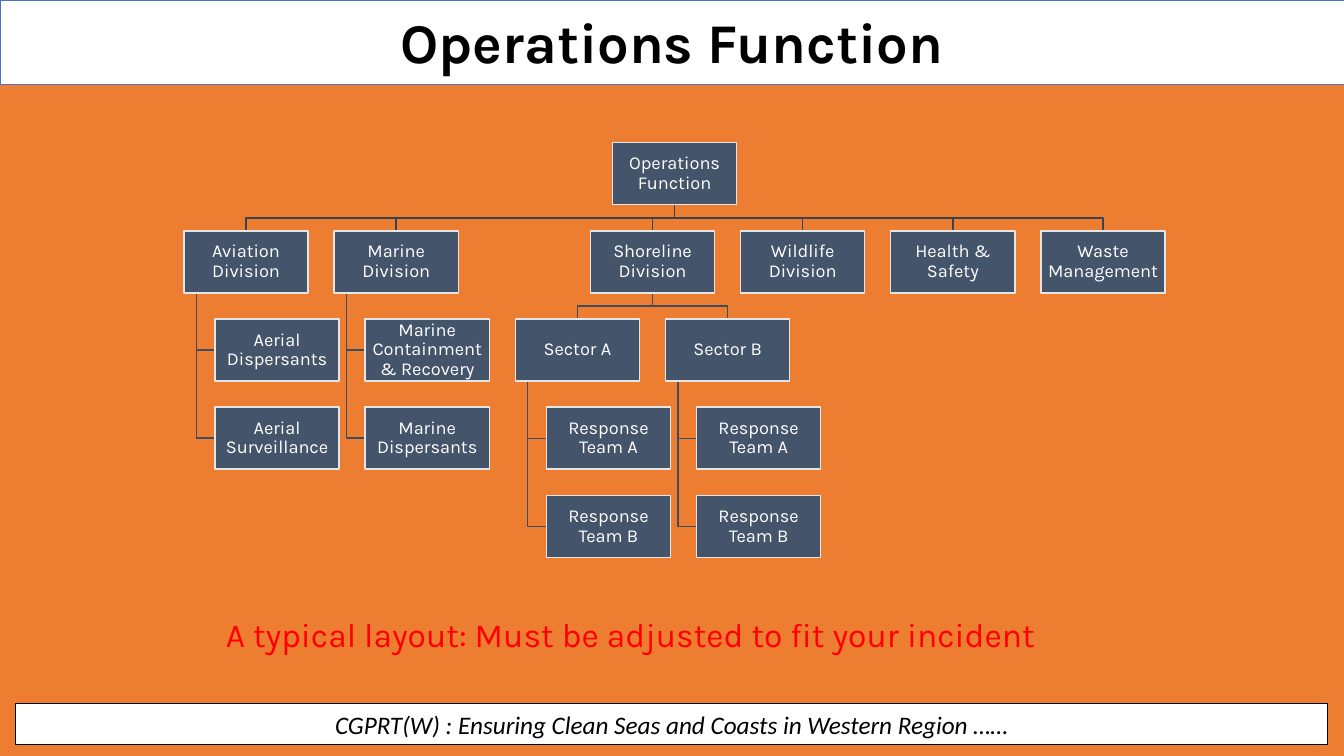
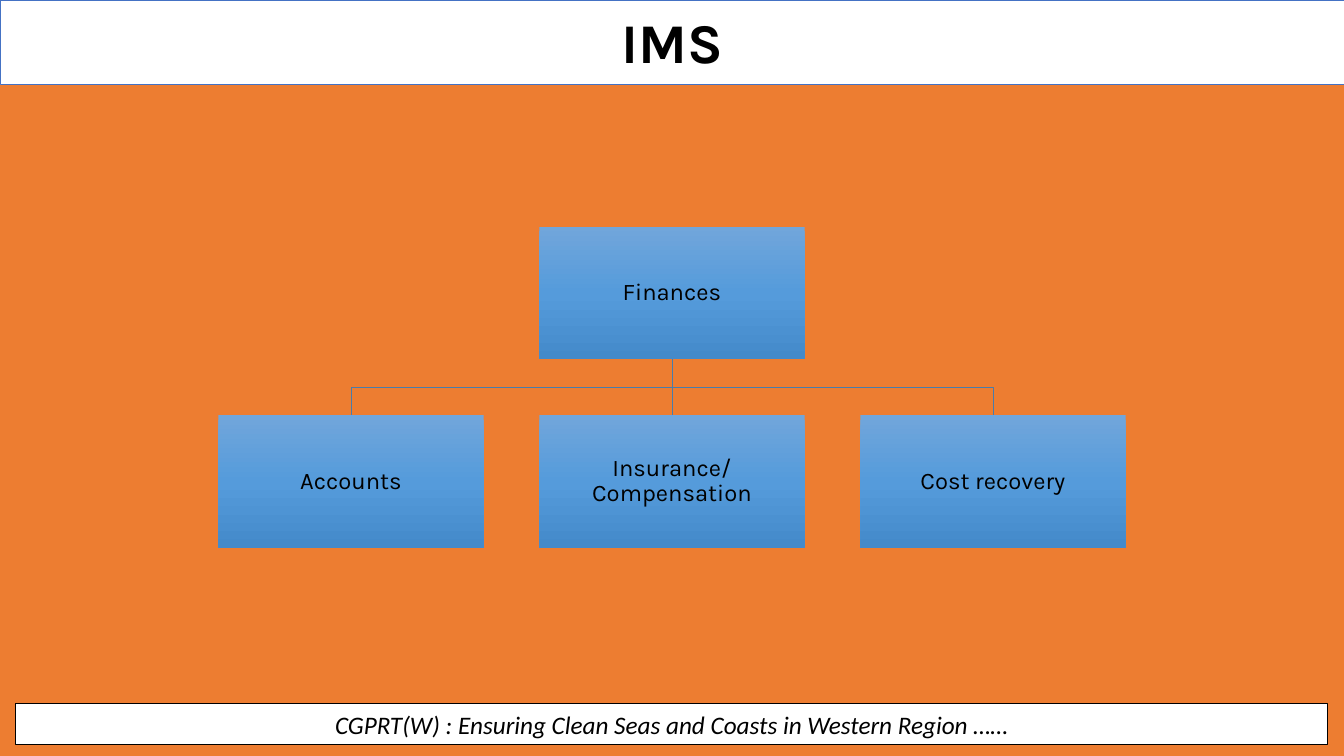
from collections import defaultdict
from copy import deepcopy
from dataclasses import dataclass

from lxml.etree import SubElement as Sub
from pptx import Presentation
from pptx.dml.color import RGBColor as Rgb
from pptx.enum.shapes import MSO_CONNECTOR as Link, MSO_SHAPE as Form
from pptx.enum.text import MSO_ANCHOR as Anchor, PP_ALIGN as Align
from pptx.oxml.ns import qn
from pptx.util import Inches, Pt

COLS, ROWS = 160, 90
CELL = Inches(13.333) / COLS
GAP, HIGH, STEP, STEM = 0.21, 0.5, 0.25, 0.1


@dataclass(frozen=True)
class Theme:
    """Colours, fonts and type sizes of the deck."""
    back: str = "ED7D31"
    paper: str = "FFFFFF"
    ink: str = "000000"
    edge: str = "4472C4"
    alert: str = "FF0000"
    font: str = "Karla"
    foot: str = "Calibri"
    head: int = 40
    note: int = 24
    base: int = 18


@dataclass(frozen=True)
class Skin:
    """Look of one chart: box fill stops, edge, lines and text."""
    fills: tuple
    edge: str
    lines: tuple
    wide: float
    ink: str
    size: int


@dataclass(frozen=True)
class Node:
    """One box of a chart, with its children beside or hung below."""
    text: str
    kids: tuple = ()
    hang: bool = False


@dataclass
class Spot:
    """A placed node, measured in box widths."""
    node: Node
    x: float
    y: float
    deep: int
    kids: list


THEME = Theme()
SLATE = Skin(("44546A",), "E7E6E6", ("364355", "3E4C60"), 1, "FFFFFF", 13)
SKY = Skin(("71A6DB", "559BDB", "448ACA"), "", ("497CAB",), 0.5, "000000", 17)
MOTTO = "CGPRT(W) : Ensuring Clean Seas and Coasts in Western Region ……"


def cells(*nums):
    """Turn grid counts into slide lengths."""
    return [round(n * CELL) for n in nums]


def paint(shape, fill, edge="", wide=0.5):
    """Set a flat fill, an edge and no shadow."""
    shape.shadow.inherit = False
    shape.fill.solid()
    shape.fill.fore_color.rgb = Rgb.from_string(fill)
    if edge:
        stroke(shape, edge, wide)
    else:
        shape.line.fill.background()


def stroke(shape, tone, wide):
    """Colour a line and set its width."""
    shape.line.color.rgb = Rgb.from_string(tone)
    shape.line.width = Pt(wide)


def blend(shape, tones):
    """Fill a shape from top to bottom with three even stops."""
    fill = shape.fill
    fill.gradient()
    fill.gradient_angle = 270
    stops = shape.element.find(".//" + qn("a:gsLst"))
    stops.insert(1, deepcopy(stops[0]))
    for i, (stop, tone) in enumerate(zip(fill.gradient_stops, tones)):
        stop.position = i / (len(tones) - 1)
        stop.color.rgb = Rgb.from_string(tone)


def write(shape, text, size, tone, font=THEME.font, align=Align.CENTER,
          lead=None, bold=False, slant=False):
    """Put one line of styled text in a shape."""
    frame = shape.text_frame
    frame.word_wrap = True
    frame.vertical_anchor = Anchor.MIDDLE
    frame.text = text
    para = frame.paragraphs[0]
    para.alignment = align
    para.line_spacing = lead
    face = para.runs[0].font
    face.name, face.size = font, Pt(size)
    face.bold, face.italic = bold, slant
    face.color.rgb = Rgb.from_string(tone)


def frame(deck, name):
    """Add a slide with its title band and footer."""
    slide = deck.slides.add_slide(deck.slide_layouts[5])
    title = slide.shapes.title
    title.left, title.top, title.width, title.height = cells(26, 1.7, 108, 7.3)
    write(title, name, THEME.head, THEME.ink, lead=0.9, bold=True)
    band = slide.shapes.add_shape(Form.RECTANGLE, *cells(0, 0, COLS, 10.1))
    paint(band, THEME.paper, THEME.edge)
    title.element.addprevious(band.element)
    foot = slide.shapes.add_shape(Form.RECTANGLE, *cells(1.9, 83.8, 156.2, 4.8))
    paint(foot, THEME.paper, THEME.ink, 0.75)
    write(foot, MOTTO, THEME.base, THEME.ink, THEME.foot, slant=True)
    return slide


def place(node, free, row=0, deep=0):
    """Lay out a tree, packing each row as far left as it goes."""
    if node.hang:
        below = range(row + 1, row + 1 + len(node.kids))
        x = max([free[row]] + [free[r] - STEP for r in below])
        kids = []
        for r, kid in zip(below, node.kids):
            free[r] = x + STEP
            kids.append(place(kid, free, r, deep + 1))
    else:
        kids = [place(kid, free, row + 1, deep + 1) for kid in node.kids]
        x = (kids[0].x + kids[-1].x) / 2 if kids else free[row]
    free[row] = x + 1 + GAP
    return Spot(node, x, row * (HIGH + GAP), deep, kids)


def walk(spot):
    """List a spot and all those under it."""
    return [spot] + [s for kid in spot.kids for s in walk(kid)]


def route(top, kid):
    """Give the corner points of the line from a box to its child."""
    foot = top.y + HIGH
    if top.node.hang:
        x, y = top.x + STEM, kid.y + HIGH / 2
        return [(x, foot), (x, y), (kid.x, y)]
    x, end, mid = top.x + 0.5, kid.x + 0.5, foot + GAP / 2
    if abs(x - end) < 0.01:
        return [(x, foot), (x, kid.y)]
    return [(x, foot), (x, mid), (end, mid), (end, kid.y)]


def join(shapes, dots, tone, wide):
    """Draw a straight or bent line through the points."""
    if len(dots) == 2:
        line = shapes.add_connector(Link.STRAIGHT, *dots[0], *dots[1])
        stroke(line, tone, wide)
        Sub(line.element.spPr, qn("a:effectLst"))
        return
    path = shapes.build_freeform(*dots[0])
    path.add_line_segments(dots[1:], close=False)
    bend = path.convert_to_shape()
    bend.fill.background()
    bend.shadow.inherit = False
    stroke(bend, tone, wide)


def chart(slide, tree, skin, left, top, width):
    """Draw a tree scaled to the width of its box."""
    root = place(tree, defaultdict(float))
    spots = walk(root)
    unit = width / (max(s.x for s in spots) + 1)
    shapes = slide.shapes.add_group_shape().shapes
    for spot in spots:
        tone = skin.lines[min(spot.deep, len(skin.lines) - 1)]
        for kid in spot.kids:
            dots = [tuple(cells(left + x * unit, top + y * unit))
                    for x, y in route(spot, kid)]
            join(shapes, dots, tone, skin.wide)
    for spot in spots:
        box = shapes.add_shape(Form.RECTANGLE, *cells(
            left + spot.x * unit, top + spot.y * unit, unit, HIGH * unit))
        paint(box, skin.fills[0], skin.edge, 1)
        if len(skin.fills) > 1:
            blend(box, skin.fills)
        text = box.text_frame
        text.margin_left = text.margin_right = Inches(0.01)
        text.margin_top = text.margin_bottom = Inches(0.01)
        write(box, spot.node.text, skin.size, skin.ink, lead=0.9)


def leaves(*names):
    """Make a row of nodes without children."""
    return tuple(Node(name) for name in names)


def duties(deck):
    """Build the slide on the operations function."""
    slide = frame(deck, "Operations Function")
    teams = leaves("Response Team A", "Response Team B")
    tree = Node("Operations Function", (
        Node("Aviation Division",
             leaves("Aerial Dispersants", "Aerial Surveillance"), True),
        Node("Marine Division",
             leaves("Marine Containment & Recovery", "Marine Dispersants"), True),
        Node("Shoreline Division", tuple(
            Node(name, teams, True) for name in ("Sector A", "Sector B"))),
        *leaves("Wildlife Division", "Health & Safety", "Waste Management")))
    chart(slide, tree, SLATE, 21.9, 17, 116.8)
    note = slide.shapes.add_textbox(*cells(25.7, 72.4, 106, 6.1))
    write(note, "A typical layout: Must be adjusted to fit your incident",
          THEME.note, THEME.alert, align=Align.LEFT)


def funds(deck):
    """Build the slide on finances."""
    slide = frame(deck, "IMS")
    tree = Node("Finances", leaves(
        "Accounts", "Insurance/Compensation", "Cost recovery"))
    chart(slide, tree, SKY, 26, 27, 108)


def main():
    """Build and save the deck."""
    deck = Presentation()
    deck.slide_width, deck.slide_height = cells(COLS, ROWS)
    fill = deck.slide_master.background.fill
    fill.solid()
    fill.fore_color.rgb = Rgb.from_string(THEME.back)
    duties(deck)
    funds(deck)
    deck.save("out.pptx")


if __name__ == "__main__":
    main()
